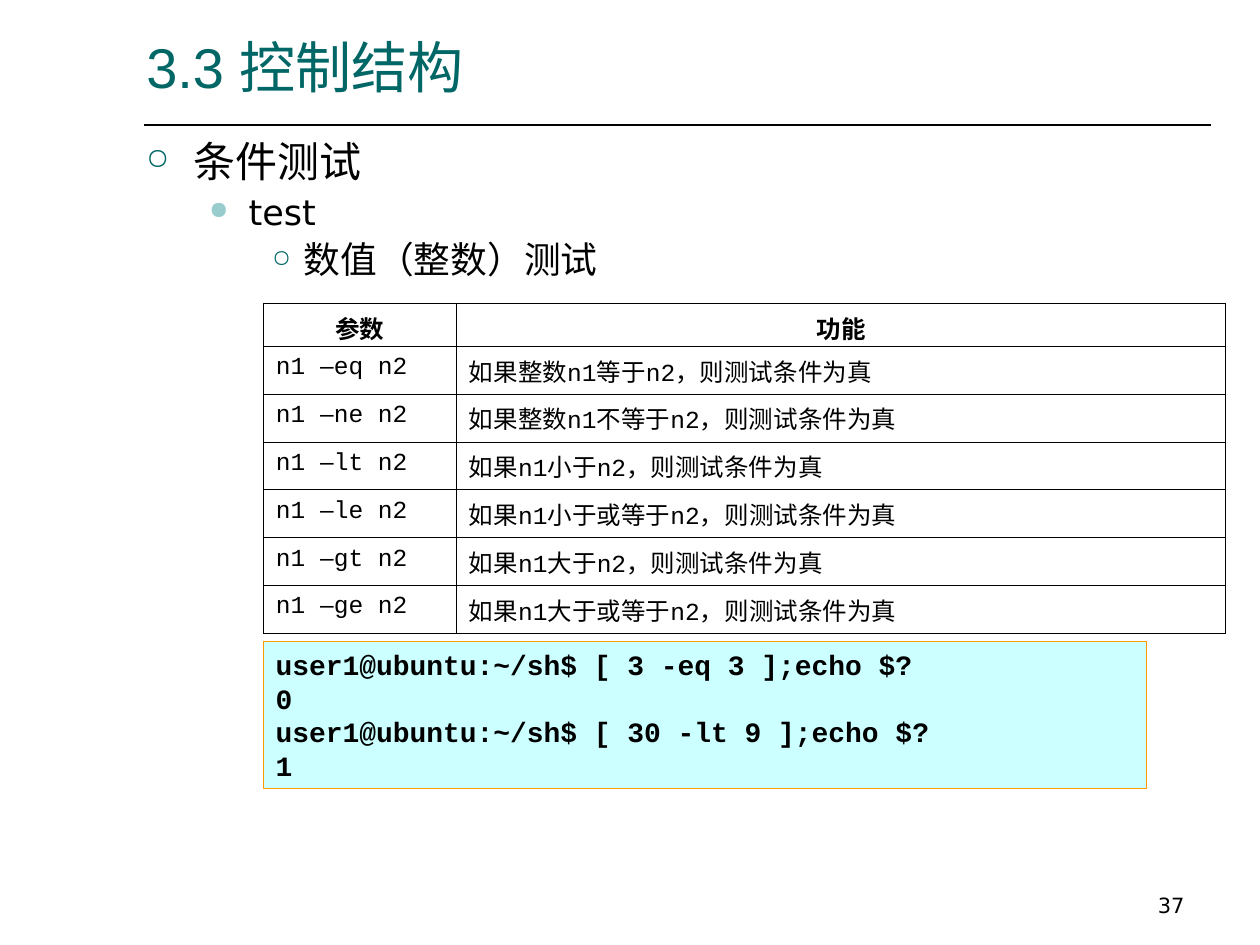
from dataclasses import dataclass

from lxml.etree import SubElement
from pptx import Presentation
from pptx.dml.color import RGBColor as Color
from pptx.enum.shapes import MSO_CONNECTOR as Connector, MSO_SHAPE as Shape
from pptx.enum.text import MSO_ANCHOR as Anchor, MSO_AUTO_SIZE as AutoSize, PP_ALIGN as Align
from pptx.oxml.ns import qn
from pptx.util import Pt


@dataclass(frozen=True)
class Theme:
    teal: str = "006666"
    aqua: str = "99CCCC"
    ink: str = "000000"
    panel: str = "CCFFFF"
    orange: str = "FF9900"
    heading: str = "Arial"
    body: str = "DejaVu Sans"
    code: str = "Courier New"
    title_size: float = 32
    level_sizes: tuple = (24, 20, 21)
    code_size: float = 16
    table_size: float = 14
    number_size: float = 12


class SlideBuilder:
    """Draws styled elements on one slide, with lengths in points."""

    def __init__(self, slide, theme):
        self.slide = slide
        self.theme = theme

    def apply(self, target, values):
        for name, value in values.items():
            setattr(target, name, value)

    def add_run(self, paragraph, text, font, size, color=None, bold=False):
        run = paragraph.add_run()
        run.text = text
        self.apply(run.font, {"name": font, "size": Pt(size), "bold": bold})
        run.font.color.rgb = Color.from_string(color or self.theme.ink)

    def text_box(self, box, anchor=Anchor.TOP):
        frame = self.slide.shapes.add_textbox(*map(Pt, box)).text_frame
        self.apply(frame, {"word_wrap": True, "vertical_anchor": anchor})
        return frame

    def label(self, box, text, font, size, color, align=Align.LEFT):
        paragraph = self.text_box(box, Anchor.BOTTOM).paragraphs[0]
        paragraph.alignment = align
        self.add_run(paragraph, text, font, size, color)

    def rule(self, start, end, width):
        line = self.slide.shapes.add_connector(Connector.STRAIGHT, *map(Pt, start + end))
        line.line.width = Pt(width)
        line.line.color.rgb = Color.from_string(self.theme.ink)
        SubElement(line._element.spPr, qn("a:effectLst"))

    def outline(self, box, items):
        frame = self.text_box(box)
        for level, (text, mark, color, percent, margin, hanging, before) in enumerate(items):
            paragraph = frame.add_paragraph() if level else frame.paragraphs[0]
            self.apply(paragraph, {"level": level, "line_spacing": 0.9, "space_before": Pt(before)})
            properties = paragraph._p.get_or_add_pPr()
            properties.set("marL", str(Pt(margin)))
            properties.set("indent", str(-Pt(hanging)))
            bullet_color = SubElement(properties, qn("a:buClr"))
            SubElement(bullet_color, qn("a:srgbClr"), val=color)
            SubElement(properties, qn("a:buSzPct"), val=str(percent * 1000))
            SubElement(properties, qn("a:buChar"), char=mark)
            self.add_run(paragraph, text, self.theme.body, self.theme.level_sizes[level])

    def code_panel(self, box, lines):
        shape = self.slide.shapes.add_shape(Shape.RECTANGLE, *map(Pt, box))
        shape.shadow.inherit = False
        shape.fill.solid()
        shape.fill.fore_color.rgb = Color.from_string(self.theme.panel)
        shape.line.color.rgb = Color.from_string(self.theme.orange)
        shape.line.width = Pt(0.75)
        frame = shape.text_frame
        self.apply(frame, {"word_wrap": True, "vertical_anchor": Anchor.TOP,
                           "auto_size": AutoSize.SHAPE_TO_FIT_TEXT})
        for index, line in enumerate(lines):
            paragraph = frame.add_paragraph() if index else frame.paragraphs[0]
            paragraph.alignment = Align.LEFT
            self.add_run(paragraph, line, self.theme.code, self.theme.code_size, bold=True)

    def cell(self, cell, runs, align=Align.LEFT, bold=False):
        properties = cell._tc.get_or_add_tcPr()
        for side in ("lnL", "lnR", "lnT", "lnB"):
            border = SubElement(properties, qn(f"a:{side}"), w=str(Pt(0.45)))
            fill = SubElement(border, qn("a:solidFill"))
            SubElement(fill, qn("a:srgbClr"), val=self.theme.ink)
        cell.fill.background()
        paragraph = cell.text_frame.paragraphs[0]
        paragraph.alignment = align
        for text, font in runs:
            self.add_run(paragraph, text, font, self.theme.table_size, bold=bold)

    def test_table(self, box, widths, heights, headers, tests):
        code = self.theme.code
        frame = self.slide.shapes.add_table(len(heights), len(widths), *map(Pt, box))
        table = frame.table
        self.apply(table, {"first_row": False, "horz_banding": False})
        for column, width in zip(table.columns, widths):
            column.width = Pt(width)
        for row, height in zip(table.rows, heights):
            row.height = Pt(height)
        for column, header in enumerate(headers):
            self.cell(table.cell(0, column), [(header, code)], Align.CENTER, True)
        for row, (operator, condition) in enumerate(tests, 1):
            option = [("n1 ", code), ("–", self.theme.heading), (f"{operator} n2", code)]
            self.cell(table.cell(row, 0), option)
            self.cell(table.cell(row, 1), [(f"如果{condition}n2，则测试条件为真", code)])


def main():
    presentation = Presentation()
    presentation.slide_width, presentation.slide_height = Pt(720), Pt(540)
    theme = Theme()
    builder = SlideBuilder(presentation.slides.add_slide(presentation.slide_layouts[6]), theme)

    builder.rule((82.3, 71.5), (692, 71.5), 1)
    builder.label((516, 492, 168, 36), "37", theme.body, theme.number_size, theme.ink, Align.RIGHT)
    builder.outline((76.5, 77, 618, 91), [
        ("条件测试", "○", theme.teal, 70, 27, 27, 0),
        ("test", "●", theme.aqua, 70, 58.5, 22.5, 5),
        ("数值（整数）测试", "○", theme.teal, 65, 90, 18, 5.2),
    ])
    builder.code_panel((150.5, 366.5, 504.5, 84), [
        "user1@ubuntu:~/sh$ [ 3 -eq 3 ];echo $?",
        "0",
        "user1@ubuntu:~/sh$ [ 30 -lt 9 ];echo $?",
        "1",
    ])
    builder.test_table(
        (150.5, 173.3, 550, 188.7), (110.3, 439.7), [24.6] + [27.35] * 6, ("参数", "功能"),
        [("eq", "整数n1等于"), ("ne", "整数n1不等于"), ("lt", "n1小于"),
         ("le", "n1小于或等于"), ("gt", "n1大于"), ("ge", "n1大于或等于")])
    builder.label((76.5, 15, 610, 45.5), "3.3 控制结构", theme.heading, theme.title_size, theme.teal)
    presentation.save("out.pptx")


if __name__ == "__main__":
    main()
